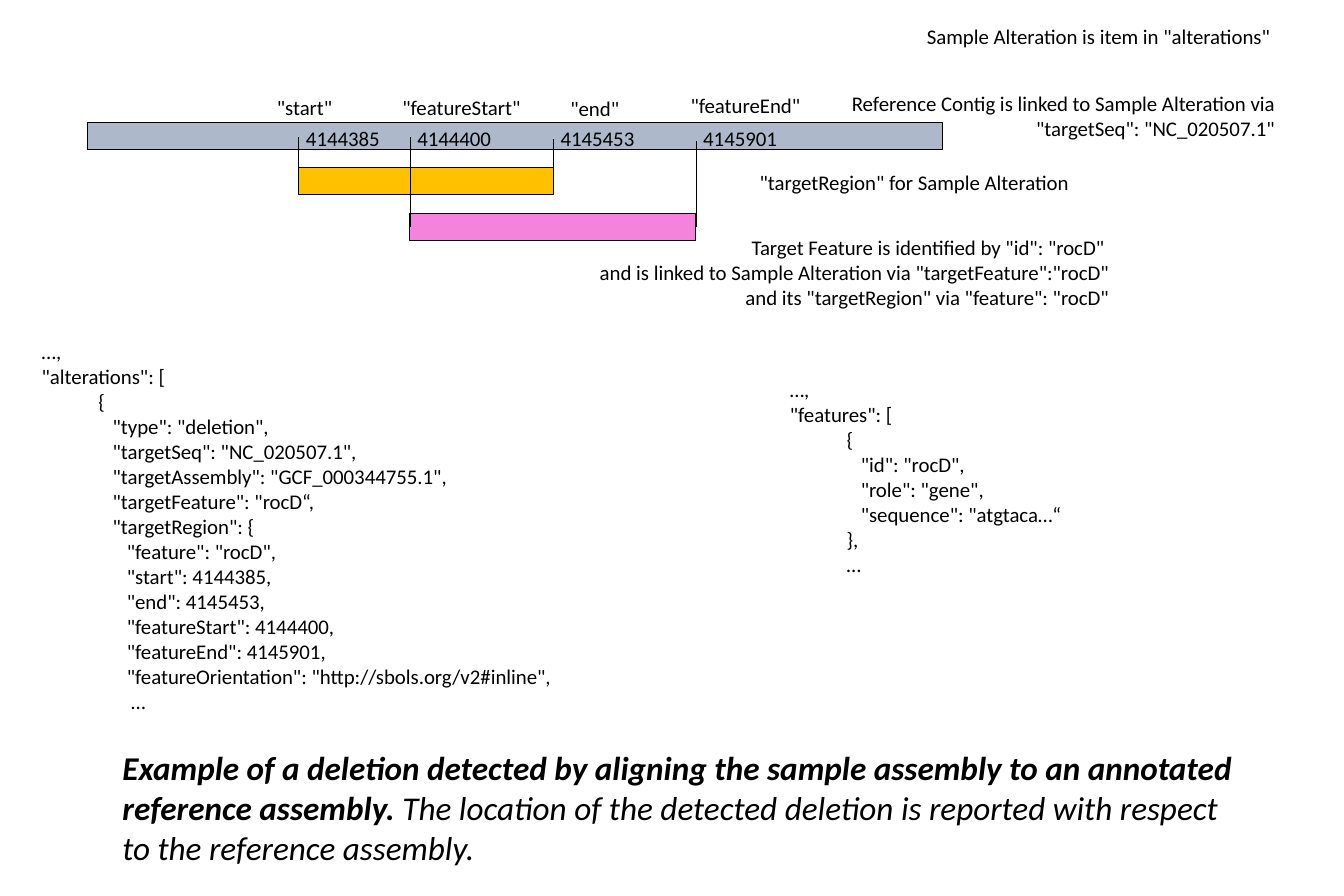
from lxml import etree
from pptx import Presentation
from pptx.dml.color import RGBColor
from pptx.enum.shapes import MSO_CONNECTOR, MSO_SHAPE
from pptx.enum.text import PP_ALIGN
from pptx.oxml.ns import qn
from pptx.util import Inches, Pt

RECTANGLE = MSO_SHAPE.RECTANGLE
STRAIGHT = MSO_CONNECTOR.STRAIGHT
LEFT, RIGHT = PP_ALIGN.LEFT, PP_ALIGN.RIGHT

COLORS = {"ink": "000000", "contig": "ADB9CA", "alteration": "FFC000", "feature": "F583DD"}
BODY = {"name": "Calibri", "size": Pt(20.1)}
CAPTION = {"name": "Calibri", "size": Pt(32), "italic": True}
COLUMNS, ROWS = 18, 12
INDENT = 0.19  # columns for each level of nested code
BAR_HEIGHT = 0.36


class AlignmentSlide:
    """Holds the style and the slide, and draws on a grid of columns and rows."""

    def __init__(self, presentation):
        """Add a blank slide and work out the grid cell."""
        self.slide = presentation.slides.add_slide(presentation.slide_layouts[6])
        self.column = presentation.slide_width / COLUMNS
        self.row = presentation.slide_height / ROWS

    def place(self, *lengths):
        """Turn alternating columns and rows into slide lengths."""
        cells = (self.column, self.row) * 2
        return [round(length * cell) for length, cell in zip(lengths, cells)]

    def color(self, name):
        """Look up a colour by its role."""
        return RGBColor.from_string(COLORS[name])

    def bar(self, left, top, width, fill):
        """Draw an outlined sequence bar."""
        shape = self.slide.shapes.add_shape(
            RECTANGLE, *self.place(left, top, width, BAR_HEIGHT))
        shape.shadow.inherit = False
        shape.fill.solid()
        shape.fill.fore_color.rgb = self.color(fill)
        shape.line.color.rgb = self.color("ink")
        shape.line.width = Pt(1)

    def marker(self, column, top, bottom):
        """Draw a thin vertical line at a coordinate."""
        connector = self.slide.shapes.add_connector(
            STRAIGHT, *self.place(column, bottom, column, top))
        connector.line.color.rgb = self.color("ink")
        connector.line.width = Pt(0.5)
        etree.SubElement(connector._element.spPr, qn("a:effectLst"))

    def run(self, paragraph, text, style):
        """Add a run with the given format values."""
        run = paragraph.add_run()
        run.text = text
        run.font.color.rgb = self.color("ink")
        for attribute, value in style.items():
            setattr(run.font, attribute, value)

    def text(self, left, top, width, height, lines, align=LEFT, style=BODY):
        """Add a text box of (level, runs) lines; a run is (text, extra style)."""
        frame = self.slide.shapes.add_textbox(
            *self.place(left, top, width, height)).text_frame
        frame.word_wrap = True
        for index, (level, runs) in enumerate(lines):
            paragraph = frame.add_paragraph() if index else frame.paragraphs[0]
            paragraph.alignment = align
            if level:
                margin = round(level * INDENT * self.column)
                paragraph._p.get_or_add_pPr().set("marL", str(margin))
            for text, extra in runs:
                self.run(paragraph, text, {**style, **extra})

    def note(self, left, top, width, height, *lines, align=LEFT):
        """Add plain lines of body text."""
        self.text(left, top, width, height, [(0, [(line, {})]) for line in lines], align)

    def code(self, left, top, width, height, lines):
        """Add code lines given as (level, text)."""
        self.text(left, top, width, height, [(level, [(line, {})]) for level, line in lines])


presentation = Presentation()
presentation.slide_width, presentation.slide_height = Inches(18), Inches(12)
page = AlignmentSlide(presentation)

# Coordinates on the contig: column, value, name, name's box, marker's ends
START, FEATURE_START, END, FEATURE_END = 4, 5.49, 7.41, 9.32
ALTERATION_TOP, FEATURE_TOP = 2.25, 2.86
alteration_middle = ALTERATION_TOP + BAR_HEIGHT / 2
feature_middle = FEATURE_TOP + BAR_HEIGHT / 2
SITES = [
    (START, "4144385", '"start"', (3.61, 1.22, 1.17), (1.84, alteration_middle)),
    (FEATURE_START, "4144400", '"featureStart"', (5.29, 1.22, 1.92), (1.84, feature_middle)),
    (END, "4145453", '"end"', (7.54, 1.23, 1.06), (1.86, alteration_middle)),
    (FEATURE_END, "4145901", '"featureEnd"', (9.15, 1.19, 1.74), (1.89, feature_middle)),
]
page.bar(1.17, 1.64, 11.45, "contig")
page.bar(START, ALTERATION_TOP, END - START, "alteration")
page.bar(FEATURE_START, FEATURE_TOP, FEATURE_END - FEATURE_START, "feature")
for column, value, name, name_box, ends in SITES:
    page.marker(column, *ends)
    page.note(column, 1.63, 1.23, 0.44, value)
    page.note(*name_box, 0.44, name)

NOTES = [
    ((11.28, 0.27, 5.89, 0.44), ['Sample Alteration is item in "alterations" ']),
    ((11.28, 1.17, 5.89, 0.78),
     ['Reference Contig is linked to Sample Alteration via "targetSeq": "NC_020507.1"']),
    ((9.78, 2.23, 4.63, 0.44), ['"targetRegion" for Sample Alteration']),
    ((5.29, 3.09, 9.66, 1.45),
     ['Target Feature is identified by "id": "rocD" ',
      'and is linked to Sample Alteration via "targetFeature":"rocD"',
      'and its "targetRegion" via "feature": "rocD"']),
]
for box, lines in NOTES:
    page.note(*box, *lines, align=RIGHT)

page.code(0.46, 4.49, 8.85, 5.16, [
    (0, "…,"),
    (0, '"alterations": ['),
    (4, "{"),
    (5, '"type": "deletion",'),
    (5, '"targetSeq": "NC_020507.1",'),
    (5, '"targetAssembly": "GCF_000344755.1",'),
    (5, '"targetFeature": "rocD“,'),
    (5, '"targetRegion": {'),
    (6, '"feature": "rocD",'),
    (6, '"start": 4144385,'),
    (6, '"end": 4145453,'),
    (6, '"featureStart": 4144400,'),
    (6, '"featureEnd": 4145901,'),
    (6, '"featureOrientation": "http://sbols.org/v2#inline",'),
    (6.3, "…"),
])
page.code(10.48, 4.99, 5.92, 2.8, [
    (0, "…,"),
    (0, '"features": ['),
    (4, "{"),
    (5, '"id": "rocD",'),
    (5, '"role": "gene",'),
    (5, '"sequence": "atgtaca…“'),
    (4, "},"),
    (4, "…"),
])
page.text(1.54, 9.96, 15.21, 1.72, [(0, [
    ("Example of a deletion detected by aligning the sample assembly "
     "to an annotated reference assembly. ", {"bold": True}),
    ("The location of the detected deletion is reported "
     "with respect to the reference assembly.", {}),
])], style=CAPTION)

presentation.save("out.pptx")
